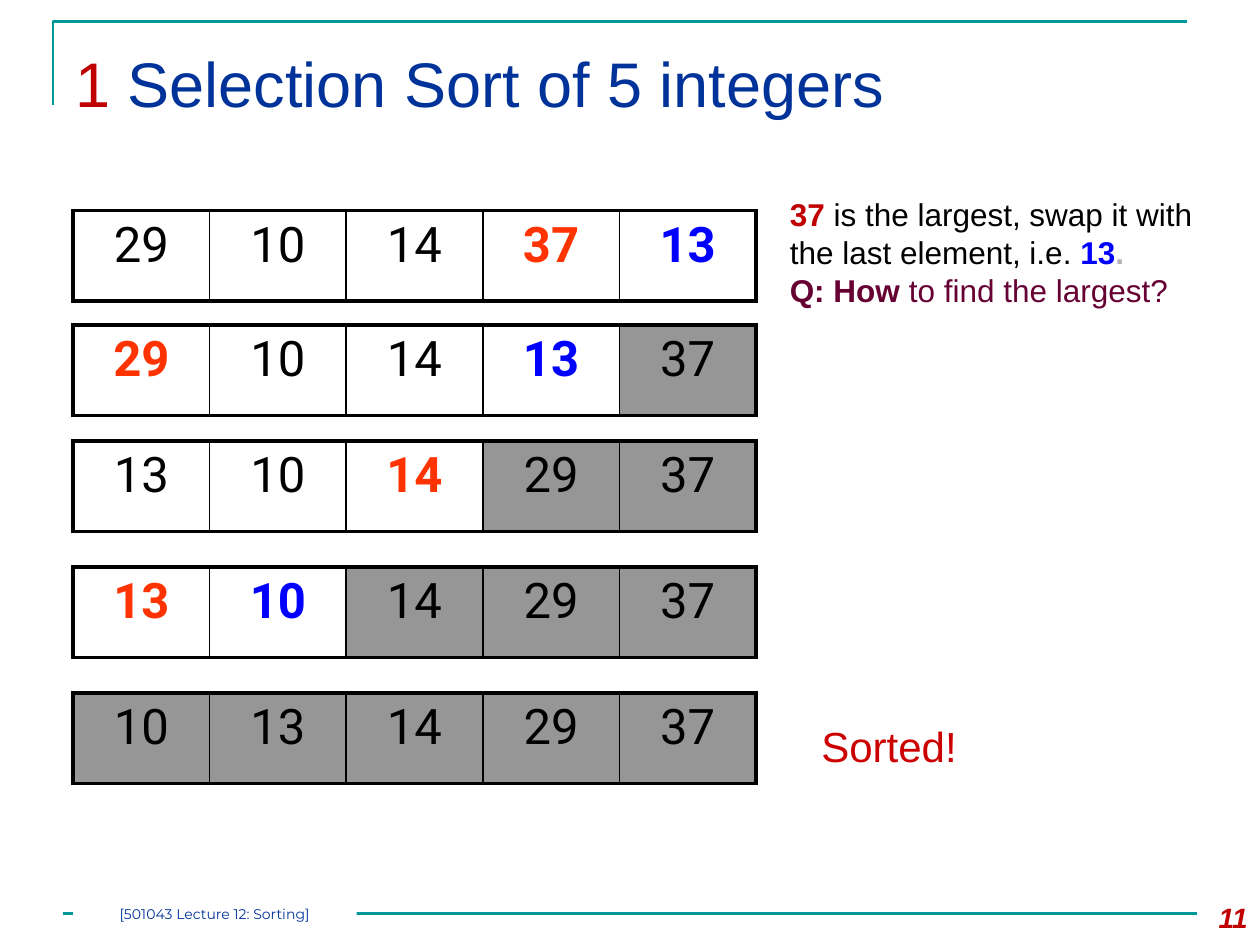
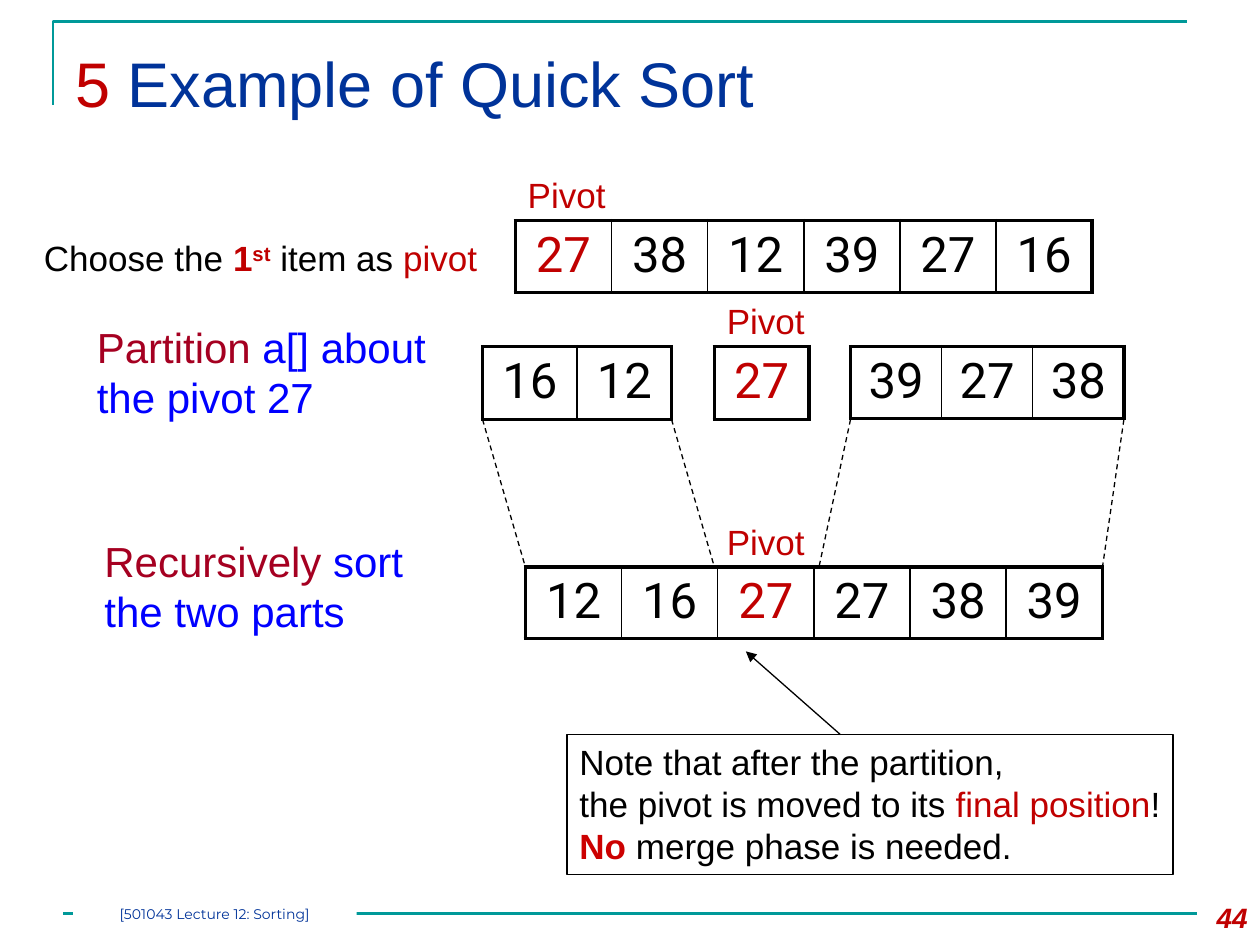
from dataclasses import dataclass

from lxml.etree import SubElement
from pptx import Presentation
from pptx.dml.color import RGBColor
from pptx.enum.dml import MSO_LINE
from pptx.enum.shapes import MSO_CONNECTOR, MSO_SHAPE
from pptx.enum.text import MSO_ANCHOR, PP_ALIGN
from pptx.oxml import parse_xml
from pptx.oxml.ns import nsdecls, qn
from pptx.util import Inches, Pt


@dataclass(frozen=True)
class Theme:
    teal: str = "009999"
    navy: str = "003399"
    red: str = "C00000"
    bright_red: str = "CC0000"
    crimson: str = "A50021"
    orange: str = "FF3300"
    blue: str = "0000FF"
    plum: str = "660033"
    silver: str = "B2B2B2"
    grey: str = "969696"
    black: str = "000000"
    white: str = "FFFFFF"
    text_font: str = "Arial"
    cell_font: str = "Roboto"
    footer_font: str = "Montserrat"
    title_size: int = 36
    cell_size: int = 28
    lead_size: int = 24
    label_size: int = 20
    body_size: int = 18
    number_size: int = 16
    footer_size: int = 8
    outer_border: float = 2.25
    inner_border: float = 1


theme = Theme()
BOLD = {"bold": True}


def write_text(frame, lines, size, name=theme.text_font, align=PP_ALIGN.LEFT):
    """Fill a frame; each line is a list of (text, colour, optional font values)."""
    for index, line in enumerate(lines):
        para = frame.add_paragraph() if index else frame.paragraphs[0]
        para.alignment = align
        for text, color, *extra in line:
            span = para.add_run()
            span.text = text
            span.font.color.rgb = RGBColor.from_string(color)
            values = {"size": Pt(size), "name": name, "bold": False}
            for styles in extra:
                values.update(styles)
            raised = values.pop("raised", None)
            for key, value in values.items():
                setattr(span.font, key, value)
            if raised:
                span.font._element.set("baseline", raised)


def add_array(page, left, top, width, height, cells):
    """Draw one array as a table; each cell is (value, colour, bold, fill or None)."""
    table = page.shapes.add_table(1, len(cells), Inches(left), Inches(top),
                                  Inches(width), Inches(height)).table
    table.first_row = table.horz_banding = False
    last = len(cells) - 1
    for index, (value, color, bold, fill) in enumerate(cells):
        table.columns[index].width = Inches(width / len(cells))
        cell = table.cell(0, index)
        write_text(cell.text_frame, [[(str(value), color, {"bold": bold})]],
                   theme.cell_size, theme.cell_font, PP_ALIGN.CENTER)
        if fill:
            cell.fill.solid()
            cell.fill.fore_color.rgb = RGBColor.from_string(fill)
        else:
            cell.fill.background()
        borders = {
            "lnL": theme.inner_border if index else theme.outer_border,
            "lnR": theme.inner_border if index < last else theme.outer_border,
            "lnT": theme.outer_border,
            "lnB": theme.outer_border,
        }
        properties = cell._tc.get_or_add_tcPr()
        for position, (side, weight) in enumerate(borders.items()):
            properties.insert(position, parse_xml(
                f'<a:{side} {nsdecls("a")} w="{Pt(weight)}"><a:solidFill>'
                f'<a:srgbClr val="{theme.black}"/></a:solidFill></a:{side}>'))


deck = Presentation()
deck.slide_width, deck.slide_height = Inches(10), Inches(7.5)
blank = deck.slide_layouts[6]
selection_page, quick_page = deck.slides.add_slide(blank), deck.slides.add_slide(blank)

# Title, frame and footer shared by both slides
for page, section, title, number in (
    (selection_page, "1 ", "Selection Sort of 5 integers", "11"),
    (quick_page, "5 ", "Example of Quick Sort", "44"),
):
    builder = page.shapes.build_freeform(Inches(0.42), Inches(0.83))
    builder.add_line_segments([(Inches(0.42), Inches(0.17)),
                               (Inches(9.42), Inches(0.17))], close=False)
    corner = builder.convert_to_shape()
    corner.fill.background()
    corner.shadow.inherit = False
    rule = page.shapes.add_connector(MSO_CONNECTOR.STRAIGHT, Inches(0.5), Inches(7.25),
                                     Inches(9.5), Inches(7.25))
    SubElement(rule._element.spPr, qn("a:effectLst"))
    for outline in (corner, rule):
        outline.line.color.rgb = RGBColor.from_string(theme.teal)
        outline.line.width = Pt(1.5)

    heading = page.shapes.add_textbox(Inches(0.5), Inches(0.25), Inches(9), Inches(0.86))
    heading.text_frame.word_wrap = True
    heading.text_frame.margin_top = Inches(0.1)
    write_text(heading.text_frame, [[(section, theme.red), (title, theme.navy)]],
               theme.title_size)

    page_number = page.shapes.add_textbox(Inches(9.33), Inches(7.1), Inches(0.67), Inches(0.4))
    page_number.text_frame.word_wrap = True
    write_text(page_number.text_frame, [[(number, theme.red, BOLD, {"italic": True})]],
               theme.number_size, align=PP_ALIGN.RIGHT)

    footer = page.shapes.add_shape(MSO_SHAPE.RECTANGLE, Inches(0.58), Inches(7.17),
                                   Inches(2.25), Inches(0.17))
    footer.shadow.inherit = False
    footer.fill.solid()
    footer.fill.fore_color.rgb = RGBColor.from_string(theme.white)
    footer.line.fill.background()
    for side in ("left", "top", "right", "bottom"):
        setattr(footer.text_frame, f"margin_{side}", 0)
    write_text(footer.text_frame, [[("[501043 Lecture 12: Sorting]", theme.navy)]],
               theme.footer_size, theme.footer_font, PP_ALIGN.CENTER)

# Selection sort: each pass marks the largest unsorted value and the one it swaps with
numbers = [29, 10, 14, 37, 13]
for done, top in enumerate((1.67, 2.58, 3.5, 4.5, 5.5)):
    last = len(numbers) - 1 - done
    largest = numbers.index(max(numbers[:last + 1]))
    cells = []
    for index, value in enumerate(numbers):
        if index > last or last == 0:
            cells.append((value, theme.black, False, theme.grey))
        elif index == largest:
            cells.append((value, theme.orange, True, None))
        elif index == last:
            cells.append((value, theme.blue, True, None))
        else:
            cells.append((value, theme.black, False, None))
    add_array(selection_page, 0.58, top, 5.42, 0.72, cells)
    numbers[largest], numbers[last] = numbers[last], numbers[largest]

# Quick sort: arrays, with the pivot's index where there is one
for left, top, width, height, values, pivot in (
    (4.09, 1.75, 4.58, 0.57, (27, 38, 12, 39, 27, 16), 0),
    (3.83, 2.75, 1.5, 0.58, (16, 12), None),
    (5.67, 2.75, 0.75, 0.58, (27,), 0),
    (6.75, 2.75, 2.17, 0.57, (39, 27, 38), None),
    (4.17, 4.5, 4.58, 0.57, (12, 16, 27, 27, 38, 39), 2),
):
    add_array(quick_page, left, top, width, height,
              [(value, theme.red if index == pivot else theme.black, False, None)
               for index, value in enumerate(values)])

# Dashed guides from the partitions to the sorted array, then the note's arrow
for start_x, start_y, end_x, end_y, is_guide in (
    (3.83, 3.33, 4.17, 4.5, True),
    (5.33, 3.33, 5.67, 4.5, True),
    (6.75, 3.33, 6.5, 4.5, True),
    (8.92, 3.33, 8.75, 4.5, True),
    (6.67, 5.83, 5.92, 5.17, False),
):
    link = quick_page.shapes.add_connector(MSO_CONNECTOR.STRAIGHT, Inches(start_x),
                                           Inches(start_y), Inches(end_x), Inches(end_y))
    link.line.color.rgb = RGBColor.from_string(theme.black)
    link.line.width = Pt(0.75)
    if is_guide:
        link.line.dash_style = MSO_LINE.DASH
    else:
        SubElement(link.line._get_or_add_ln(), qn("a:tailEnd"), type="triangle")
    SubElement(link._element.spPr, qn("a:effectLst"))

# Captions on both slides
pivot_label = [[("Pivot", theme.red)]]
for page, left, top, width, height, wrap, size, lines in (
    (selection_page, 6.17, 1.5, 3.5, 1, True, theme.body_size, [
        [("37 ", theme.red, BOLD),
         ("is the largest, swap it with the last element, i.e. ", theme.black),
         ("13", theme.blue, BOLD), (".", theme.silver, BOLD)],
        [("Q: How ", theme.plum, BOLD), ("to find the largest?", theme.plum)]]),
    (selection_page, 6.42, 5.67, 1.29, 0.5, False, theme.lead_size,
     [[("Sorted!", theme.bright_red)]]),
    (quick_page, 4.09, 1.33, 0.83, 0.44, False, theme.label_size, pivot_label),
    (quick_page, 5.67, 2.33, 0.83, 0.44, False, theme.label_size, pivot_label),
    (quick_page, 5.67, 4.08, 0.83, 0.44, False, theme.label_size, pivot_label),
    (quick_page, 0.25, 1.83, 3.69, 0.44, False, theme.label_size, [
        [("Choose the ", theme.black), ("1", theme.red, BOLD),
         ("st", theme.red, BOLD, {"raised": "30000"}),
         (" item as ", theme.black), ("pivot", theme.red)]]),
    (quick_page, 0.67, 2.5, 3.1, 0.9, True, theme.lead_size,
     [[("Partition", theme.crimson), (" a[] about the pivot 27", theme.blue)]]),
    (quick_page, 0.73, 4.2, 3.02, 0.9, True, theme.lead_size,
     [[("Recursively", theme.crimson), (" sort the two parts", theme.blue)]]),
):
    caption = page.shapes.add_textbox(Inches(left), Inches(top), Inches(width), Inches(height))
    caption.text_frame.word_wrap = wrap
    write_text(caption.text_frame, lines, size)

note = quick_page.shapes.add_shape(MSO_SHAPE.RECTANGLE, Inches(4.5), Inches(5.83),
                                   Inches(4.81), Inches(1.11))
note.shadow.inherit = False
note.fill.background()
note.line.color.rgb = RGBColor.from_string(theme.black)
note.line.width = Pt(0.75)
note.text_frame.word_wrap = False
note.text_frame.vertical_anchor = MSO_ANCHOR.TOP
write_text(note.text_frame, [
    [("Note that after the partition,", theme.black)],
    [("the pivot is moved to its ", theme.black), ("final position", theme.red),
     ("!", theme.black)],
    [("No", theme.bright_red, BOLD), (" merge phase is needed.", theme.black)],
], theme.label_size)

deck.save("out.pptx")
